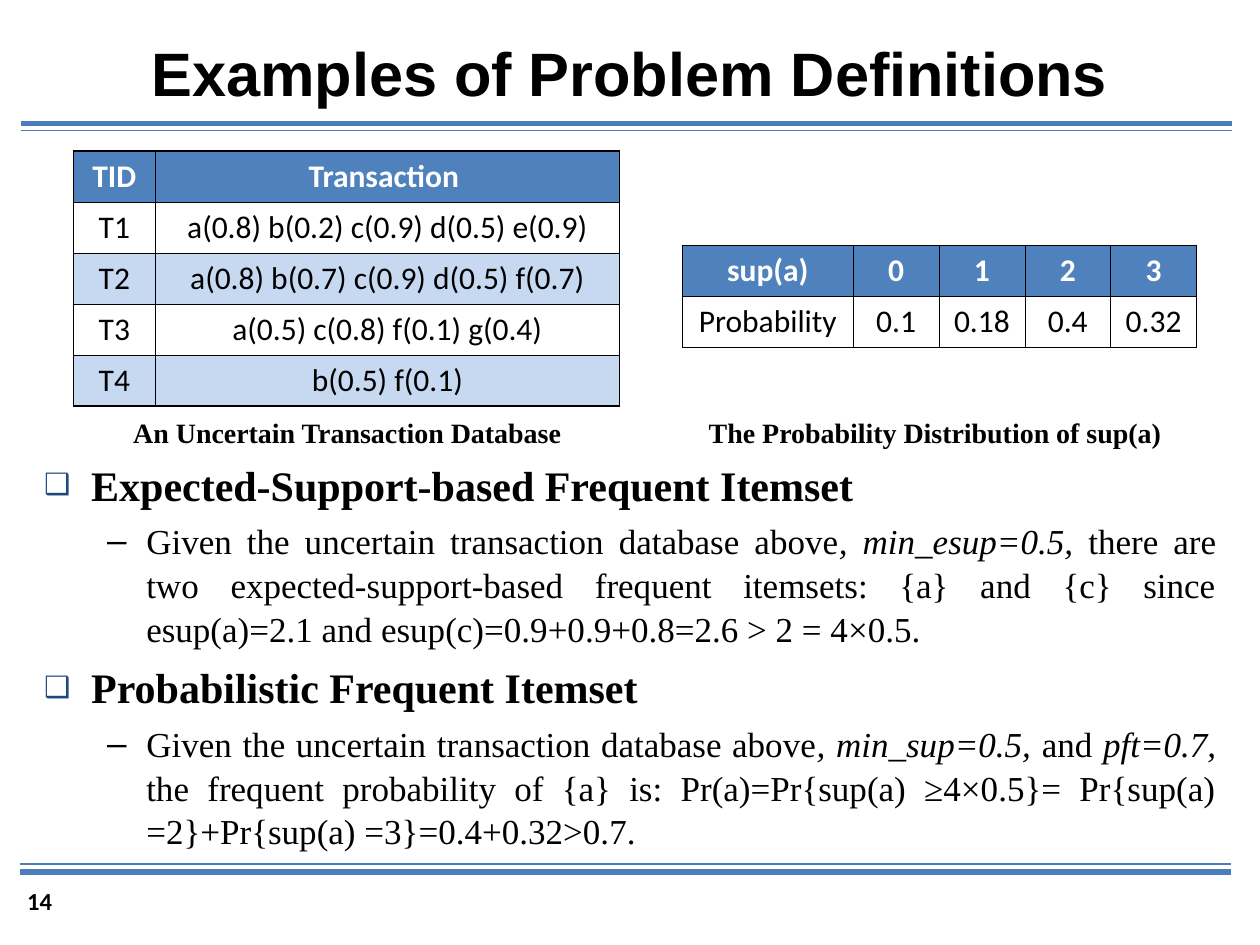
from dataclasses import dataclass

from lxml.etree import SubElement
from pptx import Presentation
from pptx.dml.color import RGBColor
from pptx.enum.shapes import MSO_CONNECTOR
from pptx.enum.text import MSO_ANCHOR, MSO_AUTO_SIZE, PP_ALIGN
from pptx.oxml import parse_xml
from pptx.oxml.ns import nsdecls, qn
from pptx.util import Cm, Pt

BLACK = RGBColor(0x00, 0x00, 0x00)
WHITE = RGBColor(0xFF, 0xFF, 0xFF)
RULE_BLUE = RGBColor(0x4A, 0x7E, 0xBB)
HEADER_BLUE = RGBColor(0x4F, 0x81, 0xBD)
BAND_BLUE = RGBColor(0xC6, 0xD9, 0xF1)
BULLET_BLUE = RGBColor(0x1F, 0x49, 0x7D)
THIN, THICK = Pt(0.45), Pt(1.08)
SERIF = "Times New Roman"


@dataclass
class Rule:
    left: float
    top: float
    weight: float


@dataclass
class Box:
    left: float
    top: float
    width: float
    height: float


@dataclass
class Grid:
    left: float
    top: float
    columns: list[float]
    rows: list[list[str]]
    bottom_border: int


@dataclass
class Bullet:
    character: str
    color: RGBColor
    percent: int
    margin: float
    hanging: float


@dataclass
class Item:
    heading: str
    detail: list[tuple[str, bool]]


ROW_HEIGHT = 1.03
RULE_LENGTH = 24.41
RULES = [Rule(0.43, 2.49, 3), Rule(0.43, 2.63, 0.75),
         Rule(0.41, 17.58, 3), Rule(0.41, 17.42, 0.75)]
GRIDS = [
    Grid(1.48, 3.04, [1.65, 9.36], [
        ["TID", "Transaction "],
        ["T1", "a(0.8) b(0.2) c(0.9) d(0.5) e(0.9)"],
        ["T2", "a(0.8) b(0.7) c(0.9) d(0.5) f(0.7)"],
        ["T3", "a(0.5) c(0.8) f(0.1) g(0.4)"],
        ["T4", "b(0.5) f(0.1)"],
    ], THICK),
    Grid(13.76, 4.95, [3.44] + [1.73] * 4, [
        ["sup(a)", "0", "1", "2", "3"],
        ["Probability", "0.1", "0.18", "0.4", "0.32"],
    ], THIN),
]
CAPTIONS = [("An Uncertain Transaction Database", Box(2.34, 8.26, 9.32, 0.84)),
            ("The Probability Distribution of sup(a)", Box(13.77, 8.26, 10.16, 0.84))]
HEADING_BULLET = Bullet("❑", BULLET_BLUE, 70, 0.95, 0.95)
DETAIL_BULLET = Bullet("–", BLACK, 100, 2.06, 0.79)
ITEMS = [
    Item("Expected-Support-based Frequent Itemset", [
        ("Given the uncertain transaction database above", False),
        (", min_esup=0.5, ", True),
        ("there are two expected-support-based frequent itemsets: {a} and {c} since "
         "esup(a)=2.1 and esup(c)=0.9+0.9+0.8=2.6 > 2 = 4×0.5.", False),
    ]),
    Item("Probabilistic Frequent Itemset", [
        ("Given the uncertain transaction database above", False),
        (", min_sup=0.5, ", True),
        ("and", False),
        (" pft=0.7, ", True),
        ("the frequent probability of {a} is: Pr(a)=Pr{sup(a) ≥4×0.5}= "
         "Pr{sup(a) =2}+Pr{sup(a) =3}=0.4+0.32>0.7.", False),
    ]),
]


def format_font(font, size: float, name: str, bold: bool = False,
                italic: bool = False, color: RGBColor = BLACK) -> None:
    values = {"size": Pt(size), "name": name, "bold": bold, "italic": italic}
    for attribute, value in values.items():
        setattr(font, attribute, value)
    font.color.rgb = color


def place(shape, box: Box) -> None:
    for attribute in ("left", "top", "width", "height"):
        setattr(shape, attribute, Cm(getattr(box, attribute)))


def add_title(slide, text: str) -> None:
    title = slide.shapes.title
    place(title, Box(0, 0.46, 25.4, 2))
    frame = title.text_frame
    frame.text = text
    frame.auto_size = MSO_AUTO_SIZE.NONE
    frame.vertical_anchor = MSO_ANCHOR.MIDDLE
    frame.paragraphs[0].alignment = PP_ALIGN.CENTER
    format_font(frame.paragraphs[0].runs[0].font, 35, "Arial", bold=True)


def add_rule(slide, rule: Rule) -> None:
    connector = slide.shapes.add_connector(
        MSO_CONNECTOR.STRAIGHT, Cm(rule.left), Cm(rule.top),
        Cm(rule.left + RULE_LENGTH), Cm(rule.top))
    connector.line.color.rgb = RULE_BLUE
    connector.line.width = Pt(rule.weight)
    SubElement(connector.element.spPr, qn("a:effectLst"))


def add_text_frame(slide, box: Box):
    shape = slide.shapes.add_textbox(*map(Cm, (box.left, box.top, box.width, box.height)))
    shape.text_frame.word_wrap = True
    return shape.text_frame


def add_label(slide, text: str, box: Box, size: float, name: str, alignment: PP_ALIGN) -> None:
    paragraph = add_text_frame(slide, box).paragraphs[0]
    paragraph.alignment = alignment
    run = paragraph.add_run()
    run.text = text
    format_font(run.font, size, name, bold=True)


def set_borders(cell, widths: dict[str, int]) -> None:
    properties = cell._tc.get_or_add_tcPr()
    for position, (side, width) in enumerate(widths.items()):
        properties.insert(position, parse_xml(
            f'<a:{side} {nsdecls("a")} w="{width}"><a:solidFill>'
            f'<a:srgbClr val="{BLACK}"/></a:solidFill></a:{side}>'))


def add_grid(slide, grid: Grid) -> None:
    row_count, column_count = len(grid.rows), len(grid.columns)
    table = slide.shapes.add_table(
        row_count, column_count, Cm(grid.left), Cm(grid.top),
        Cm(sum(grid.columns)), Cm(ROW_HEIGHT * row_count)).table
    table.horz_banding = False
    for column, width in zip(table.columns, grid.columns):
        column.width = Cm(width)
    for row_index, texts in enumerate(grid.rows):
        table.rows[row_index].height = Cm(ROW_HEIGHT)
        is_header = row_index == 0
        for column_index, text in enumerate(texts):
            cell = table.cell(row_index, column_index)
            cell.text = text
            paragraph = cell.text_frame.paragraphs[0]
            paragraph.alignment = PP_ALIGN.CENTER
            format_font(paragraph.runs[0].font, 18, "Calibri", bold=is_header,
                        color=WHITE if is_header else BLACK)
            if row_index % 2:
                cell.fill.background()
            else:
                cell.fill.solid()
                cell.fill.fore_color.rgb = HEADER_BLUE if is_header else BAND_BLUE
            set_borders(cell, {
                "lnL": THICK if column_index == 0 else THIN,
                "lnR": THIN,
                "lnT": THICK if is_header else THIN,
                "lnB": grid.bottom_border if row_index == row_count - 1 else THIN,
            })


def add_bullet(paragraph, bullet: Bullet) -> None:
    properties = paragraph._p.get_or_add_pPr()
    properties.set("marL", str(Cm(bullet.margin)))
    properties.set("indent", str(-Cm(bullet.hanging)))
    color = SubElement(properties, qn("a:buClr"))
    SubElement(color, qn("a:srgbClr"), val=str(bullet.color))
    SubElement(properties, qn("a:buSzPct"), val=str(bullet.percent * 1000))
    SubElement(properties, qn("a:buFont"), typeface="Arial")
    SubElement(properties, qn("a:buChar"), char=bullet.character)


def add_items(slide, items: list[Item]) -> None:
    frame = add_text_frame(slide, Box(0.64, 9.09, 24.13, 8.05))
    for index, item in enumerate(items):
        heading = frame.add_paragraph() if index else frame.paragraphs[0]
        add_bullet(heading, HEADING_BULLET)
        heading.space_before = Pt(6 if index else 0)
        heading.line_spacing = 1.04
        run = heading.add_run()
        run.text = item.heading
        format_font(run.font, 24, SERIF, bold=True)
        detail = frame.add_paragraph()
        add_bullet(detail, DETAIL_BULLET)
        values = {"level": 1, "alignment": PP_ALIGN.JUSTIFY,
                  "space_before": Pt(5), "line_spacing": 1.04}
        for attribute, value in values.items():
            setattr(detail, attribute, value)
        for text, italic in item.detail:
            run = detail.add_run()
            run.text = text
            format_font(run.font, 20, SERIF, italic=italic)


def main() -> None:
    presentation = Presentation()
    presentation.slide_width, presentation.slide_height = Cm(25.4), Cm(19.05)
    slide = presentation.slides.add_slide(presentation.slide_layouts[5])
    for rule in RULES:
        add_rule(slide, rule)
    add_title(slide, "Examples of Problem Definitions")
    add_items(slide, ITEMS)
    add_label(slide, "14", Box(0.3, 17.73, 2.59, 1.02), 14, "Calibri", PP_ALIGN.LEFT)
    for grid, (caption, box) in zip(GRIDS, CAPTIONS):
        add_grid(slide, grid)
        add_label(slide, caption, box, 16, SERIF, PP_ALIGN.CENTER)
    presentation.save("out.pptx")


if __name__ == "__main__":
    main()
